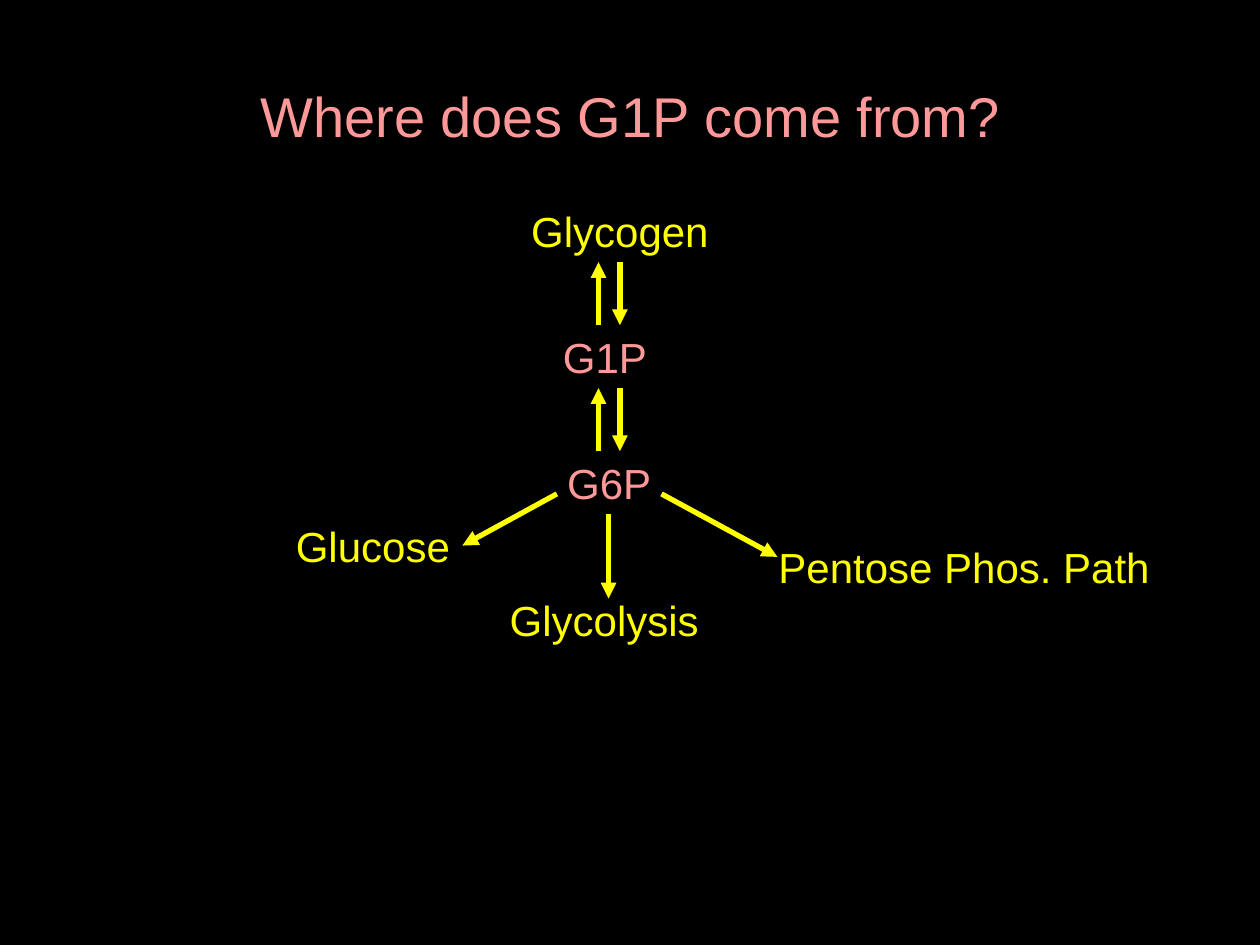
from pptx import Presentation
from pptx.dml.color import RGBColor
from pptx.enum.shapes import MSO_CONNECTOR
from pptx.enum.text import MSO_ANCHOR, MSO_AUTO_SIZE, PP_ALIGN
from pptx.oxml.ns import qn
from pptx.util import Inches, Pt
from lxml.etree import SubElement

HUES = {"back": "000000", "pink": "FF9999", "gold": "FFFF00"}


class Board:
    font = "Arial"
    large = 32
    small = 24
    weight = 3

    def __init__(self, deck):
        self.slide = deck.slides.add_slide(deck.slide_layouts[5])
        fill = self.slide.background.fill
        fill.solid()
        fill.fore_color.rgb = self.hue("back")

    def hue(self, name):
        return RGBColor.from_string(HUES[name])

    def letter(self, frame, text, size, color, align):
        frame.word_wrap = True
        para = frame.paragraphs[0]
        para.alignment = align
        run = para.add_run()
        run.text = text
        run.font.name = self.font
        run.font.size = Pt(size)
        run.font.color.rgb = self.hue(color)

    def title(self, text, left, top, width, height):
        shape = self.slide.shapes.title
        shape.left, shape.top = Inches(left), Inches(top)
        shape.width, shape.height = Inches(width), Inches(height)
        shape.text_frame.vertical_anchor = MSO_ANCHOR.MIDDLE
        self.letter(shape.text_frame, text, self.large, "pink", PP_ALIGN.CENTER)

    def label(self, text, left, top, width, color="gold", align=PP_ALIGN.LEFT):
        box = self.slide.shapes.add_textbox(
            Inches(left), Inches(top), Inches(width), Inches(0.5))
        box.text_frame.auto_size = MSO_AUTO_SIZE.SHAPE_TO_FIT_TEXT
        self.letter(box.text_frame, text, self.small, color, align)

    def arrow(self, start, end):
        points = [Inches(n) for n in (*start, *end)]
        link = self.slide.shapes.add_connector(MSO_CONNECTOR.STRAIGHT, *points)
        link.line.color.rgb = self.hue("gold")
        link.line.width = Pt(self.weight)
        props = link.element.spPr
        SubElement(props.find(qn("a:ln")), qn("a:tailEnd"), type="triangle")
        SubElement(props, qn("a:effectLst"))

    def cycle(self, top):
        low = top + 0.5
        self.arrow((4.75, low), (4.75, top))
        self.arrow((4.92, top), (4.92, low))


def main():
    deck = Presentation()
    deck.slide_width, deck.slide_height = Inches(10), Inches(7.5)
    board = Board(deck)
    board.title("Where does G1P come from?", 1.42, 0.5, 7.17, 0.83)

    mid = PP_ALIGN.CENTER
    board.label("Glycogen", 3.42, 1.58, 3, align=mid)
    board.label("G1P", 4.37, 2.58, 1, "pink")
    board.label("G6P", 4.17, 3.58, 1.33, "pink", mid)
    board.label("Glucose", 2.25, 4.08, 2.17)
    board.label("Glycolysis", 3.42, 4.67, 2.75, align=mid)
    board.label("Pentose Phos. Path", 6.08, 4.25, 3.17)

    for top in (2.08, 3.08):
        board.cycle(top)
    board.arrow((4.42, 3.92), (3.67, 4.33))
    board.arrow((4.83, 4.08), (4.83, 4.75))
    board.arrow((5.25, 3.92), (6.17, 4.42))
    deck.save("out.pptx")


if __name__ == "__main__":
    main()
